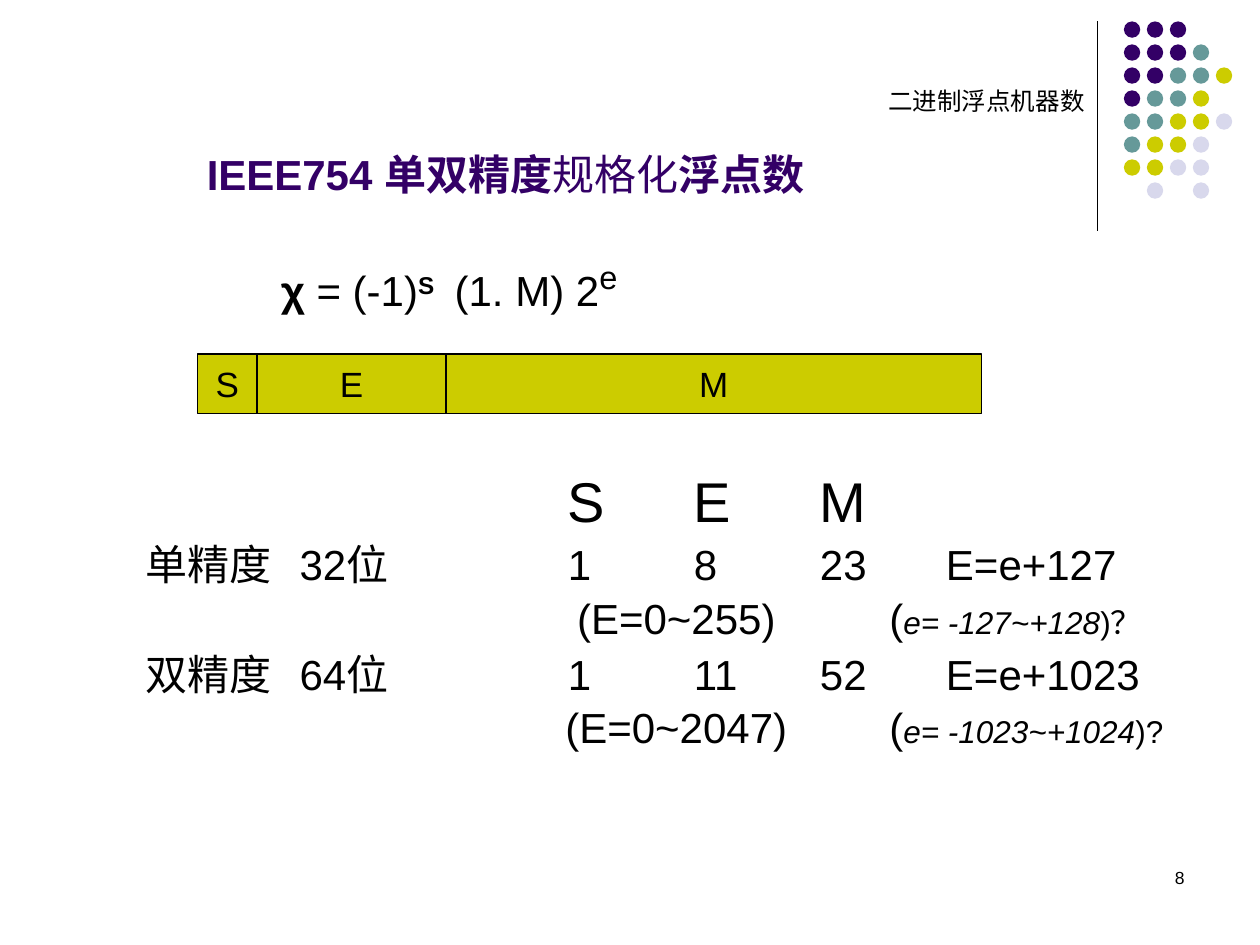
from dataclasses import dataclass

from lxml import etree
from pptx import Presentation
from pptx.dml.color import RGBColor
from pptx.enum.shapes import MSO_CONNECTOR, MSO_SHAPE
from pptx.enum.text import MSO_ANCHOR, PP_ALIGN
from pptx.oxml.ns import qn
from pptx.util import Inches, Pt

LEFT, MID, RIGHT = PP_ALIGN.LEFT, PP_ALIGN.CENTER, PP_ALIGN.RIGHT
JUST = PP_ALIGN.JUSTIFY
TOP, CENTRE = MSO_ANCHOR.TOP, MSO_ANCHOR.MIDDLE
RECT, OVAL = MSO_SHAPE.RECTANGLE, MSO_SHAPE.OVAL
LINE = MSO_CONNECTOR.STRAIGHT


@dataclass(frozen=True)
class Theme:
    font: str = "Arial"
    ink: str = "000000"
    plum: str = "330066"
    teal: str = "669999"
    lime: str = "CCCC00"
    mist: str = "D8D8EC"
    tiny: int = 10
    label: int = 14
    note: int = 18
    cell: int = 20
    body: int = 24
    head: int = 32
    tall: int = 44
    rule: float = 0.75


class Deck:
    def __init__(self, theme):
        self.theme = theme
        self.file = Presentation()
        self.file.slide_width = Inches(10)
        self.file.slide_height = Inches(7.5)
        self.slide = self.file.slides.add_slide(self.file.slide_layouts[6])

    def run(self, para, text, size, color=None, bold=False, slant=False, lift=0):
        part = para.add_run()
        part.text = text
        font = part.font
        font.name, font.size = self.theme.font, Pt(size)
        font.bold, font.italic = bold, slant
        font.color.rgb = RGBColor.from_string(color or self.theme.ink)
        if lift:
            font._element.set("baseline", str(lift * 1000))

    def tabs(self, para, stops):
        """Set tab stops from (inches, alignment) pairs."""
        stop_list = etree.SubElement(para._p.get_or_add_pPr(), qn("a:tabLst"))
        for pos, side in stops:
            etree.SubElement(stop_list, qn("a:tab"), pos=str(Inches(pos)), algn=side)

    def text(self, box, rows, align=LEFT, anchor=TOP, pad=0.1):
        """Each row holds its runs, tab stops and the space before it."""
        frame = self.slide.shapes.add_textbox(*map(Inches, box)).text_frame
        frame.word_wrap, frame.vertical_anchor = True, anchor
        frame.margin_left = frame.margin_right = Inches(pad)
        frame.margin_top = frame.margin_bottom = Inches(pad / 2)
        for i, (runs, stops, gap) in enumerate(rows):
            para = frame.add_paragraph() if i else frame.paragraphs[0]
            para.alignment = align
            if len(rows) > 1:
                para.line_spacing = 0.9
            if i:
                para.space_before = Pt(gap)
            if stops:
                self.tabs(para, stops)
            for text, size, style in runs:
                self.run(para, text, size, **style)

    def shape(self, home, kind, box, fill, edge=None):
        item = home.add_shape(kind, *map(Inches, box))
        item.shadow.inherit = False
        item.fill.solid()
        item.fill.fore_color.rgb = RGBColor.from_string(fill)
        if edge:
            item.line.color.rgb = RGBColor.from_string(edge)
            item.line.width = Pt(self.theme.rule)
        else:
            item.line.fill.background()
        return item

    def field(self, box, text):
        theme = self.theme
        item = self.shape(self.slide.shapes, RECT, box, theme.lime, theme.ink)
        frame = item.text_frame
        frame.word_wrap, frame.vertical_anchor = False, CENTRE
        frame.paragraphs[0].alignment = MID
        self.run(frame.paragraphs[0], text, theme.cell)

    def rule(self, *ends):
        line = self.slide.shapes.add_connector(LINE, *map(Inches, ends))
        line.line.color.rgb = RGBColor.from_string(self.theme.ink)
        line.line.width = Pt(self.theme.rule)
        etree.SubElement(line._element.spPr, qn("a:effectLst"))

    def dots(self, left, top, step, size, grid, tints):
        group = self.slide.shapes.add_group_shape().shapes
        for y, row in enumerate(grid):
            for x, key in enumerate(row):
                if key in tints:
                    box = (left + x * step, top + y * step, size, size)
                    self.shape(group, OVAL, box, tints[key])


def main():
    theme = Theme()
    deck = Deck(theme)

    # Corner rule and dot pattern
    deck.rule(8.71, 0.17, 8.71, 1.83)
    grid = ("PPP..", "PPPT.", "PPTTL", "PTTL.", "TTLLM", "TLLM.", "LLMM.", ".M.M.")
    tints = {"P": theme.plum, "T": theme.teal, "L": theme.lime, "M": theme.mist}
    deck.dots(8.92, 0.17, 0.73 / 4, 0.13, grid, tints)

    # Topic and title
    topic = [("二进制浮点机器数", theme.label, {})]
    deck.text((7.05, 0.68, 1.81, 0.23), [(topic, (), 0)], JUST, pad=0)
    strong = {"color": theme.plum, "bold": True}
    title = [
        ("IEEE754 单双精度", theme.body, strong),
        ("规格化", theme.body, {"color": theme.plum}),
        ("浮点数", theme.body, strong),
        (" ", theme.tall, strong),
    ]
    deck.text((0.71, 1.07, 5.91, 0.39), [(title, (), 0)], RIGHT, CENTRE)

    # Bit widths and ranges of both formats
    cols = [(1.22, "l")] + [(3.35 + n, "l") for n in range(4)]
    spans = [(4.21, "ctr"), (5.9, "l")]
    rows = [([("\tS\tE\tM", theme.head, {})], cols[1:], 0)]
    for name, span, power, mark in (
        ("单精度\t32位\t1\t8\t23\tE=e+127", "(E=0~255)", "e= -127~+128", ")？"),
        ("双精度\t64位\t1\t11\t52\tE=e+1023", "(E=0~2047)", "e= -1023~+1024", ")?"),
    ):
        rows.append(([(name, theme.body, {})], cols, 6))
        limits = [
            (f"\t{span}\t(", theme.body, {}),
            (power, theme.note, {"slant": True}),
            (mark, theme.note, {}),
        ]
        rows.append((limits, spans, 4.5))
    deck.text((1.06, 3.71, 8.54, 2.6), rows)

    # Value formula
    value = [
        ("χ", theme.body, {"bold": True}),
        (" = (-1)", theme.body, {}),
        ("S", theme.body, {"bold": True, "lift": 30}),
        ("\t(1. M) 2", theme.body, {}),
        ("e", theme.head, {"lift": 30}),
    ]
    deck.text((2.13, 1.94, 3.31, 0.64), [(value, [(1.38, "l")], 0)])

    # Bit fields, laid end to end
    left = 1.57
    for name, width in (("S", 0.47), ("E", 1.5), ("M", 4.25)):
        deck.field((left, 2.81, width, 0.47), name)
        left += width

    # Page number
    page = [("8", theme.tiny, {})]
    deck.text((7.17, 6.83, 2.33, 0.5), [(page, (), 0)], RIGHT)

    deck.file.save("out.pptx")


if __name__ == "__main__":
    main()
